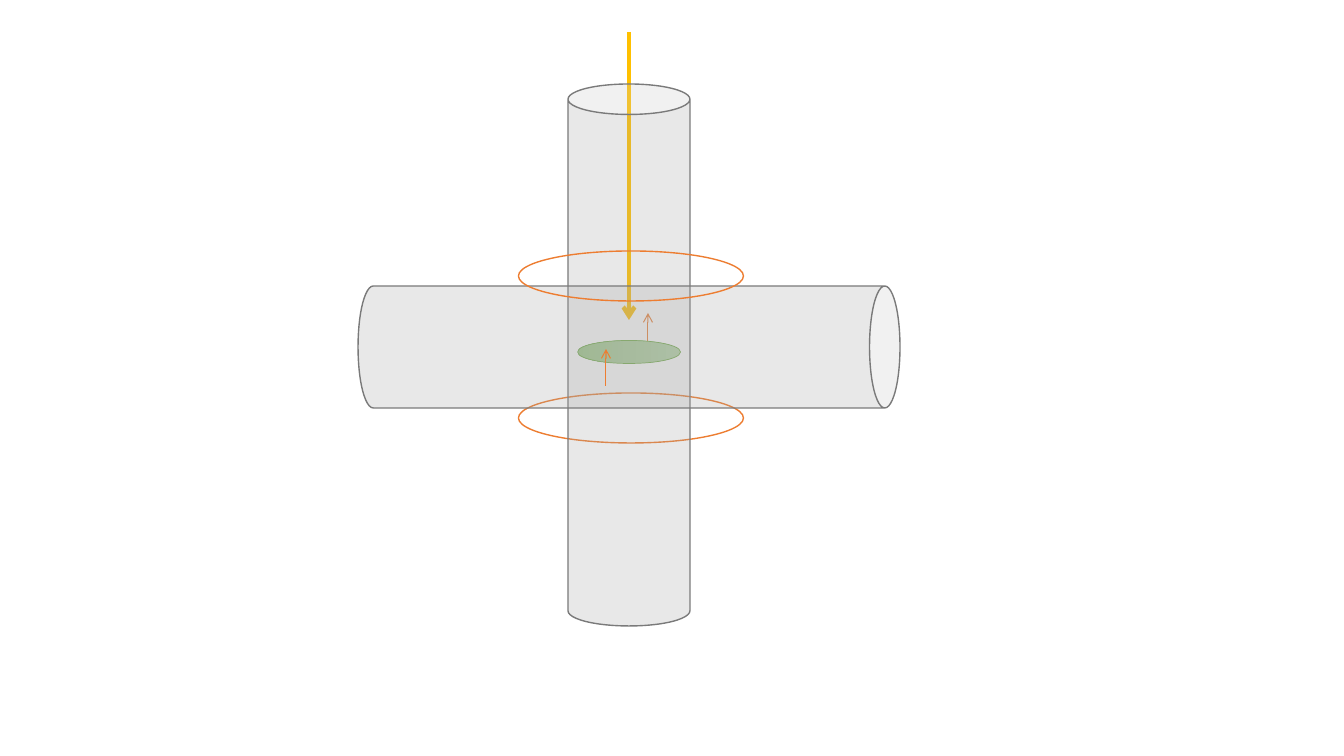
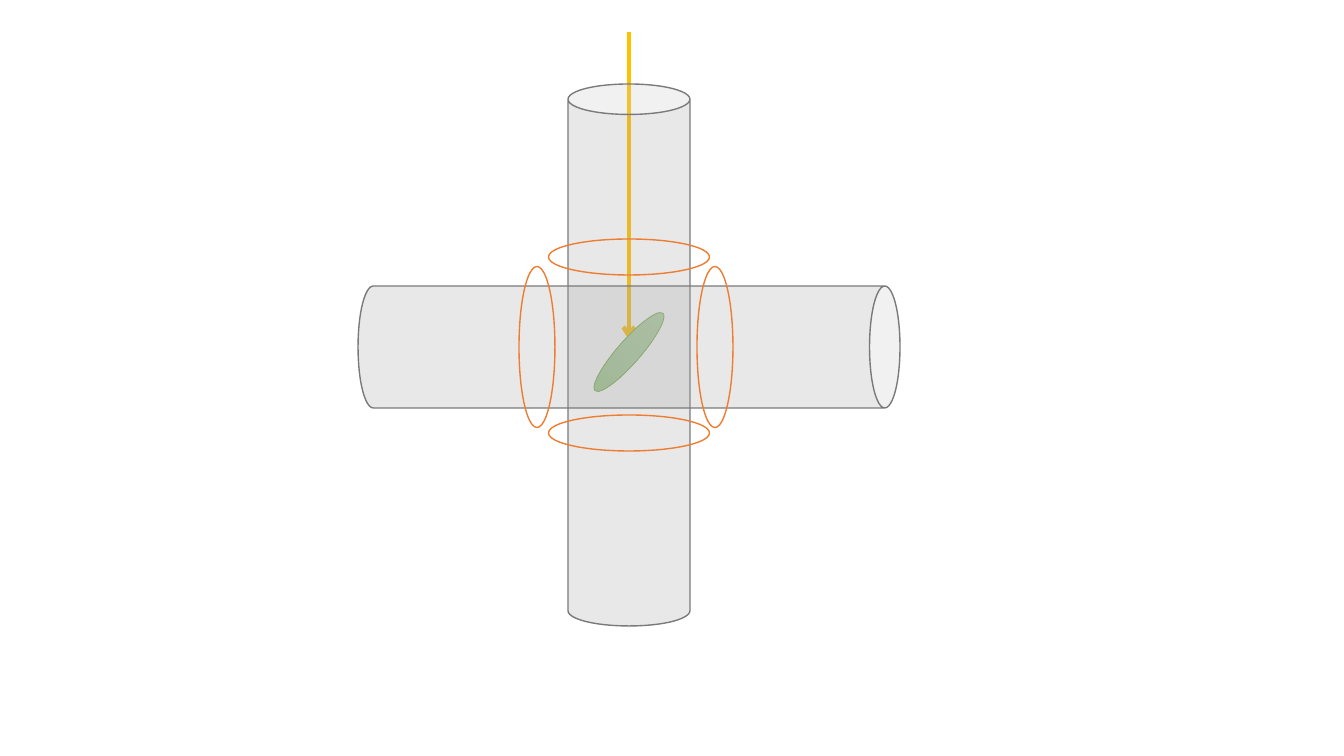
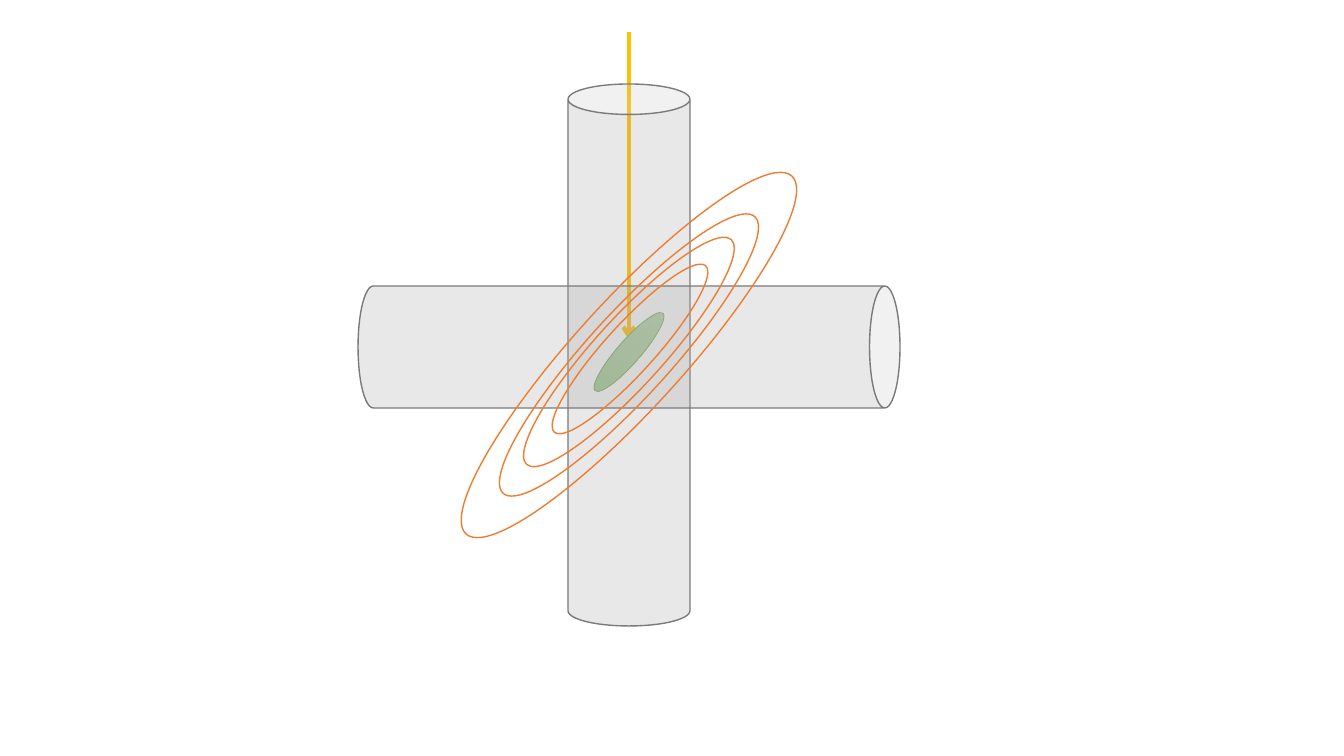
from copy import deepcopy
from dataclasses import dataclass

from lxml import etree
from pptx import Presentation
from pptx.dml.color import RGBColor
from pptx.enum import shapes
from pptx.oxml import ns
from pptx.util import Pt

PX = 914400 / 100.8  # EMU in one px
SLIDE_WIDTH, SLIDE_HEIGHT = 1344, 756

COLORS = {
    "tube": "A5A5A5",
    "tube_edge": "7A7A7A",
    "coil": "ED7D31",
    "beam": "FFC000",
    "sample_light": "B5D5A7",
    "sample_mid": "AACE9A",
    "sample_dark": "9CC987",
    "sample_edge": "70AD47",
}
SAMPLE_STOPS = ("sample_light", "sample_mid", "sample_dark")
TUBE_OPACITY = 25  # percent


@dataclass(frozen=True)
class Body:
    """A preset shape placed by its centre."""
    x: int
    y: int
    width: int
    height: int
    rotation: float = 0


@dataclass(frozen=True)
class Arrow:
    """An upright arrow; the head is at the end."""
    x: int
    start: int
    end: int
    color: str = "coil"
    weight: float = 0.75


@dataclass(frozen=True)
class Scene:
    """What differs between slides, split by depth around the tubes."""
    beam_end: int
    sample_tilt: float
    front_coils: tuple[Body, ...]
    back_coils: tuple[Body, ...] = ()
    back_arrows: tuple[Arrow, ...] = ()
    front_arrows: tuple[Arrow, ...] = ()


# Apparatus shared by all slides
AXIS = 629
BEAM_START = 32
TUBES = (Body(AXIS, 355, 122, 542), Body(AXIS, 347, 122, 542, 90))
SAMPLE_CENTER, SAMPLE_SIZE = (AXIS, 352), (23, 103)
TILT, COIL_TILT = 41.2, 312.3

# Coil pairs and nested coils
PAIR_SIZE = (225, 50)
CROSS_SIZE = (161, 36)
NESTED_COILS = (
    Body(630, 349, 225, 49, COIL_TILT),
    Body(629, 352, 304, 68, COIL_TILT),
    Body(629, 355, 374, 83, COIL_TILT),
    Body(629, 355, 484, 108, COIL_TILT),
)

SCENES = (
    Scene(
        beam_end=320,
        sample_tilt=90,
        back_arrows=(Arrow(648, 351, 313),),
        back_coils=(Body(631, 418, *PAIR_SIZE),),
        front_coils=(Body(631, 276, *PAIR_SIZE),),
        front_arrows=(Arrow(606, 386, 349),),
    ),
    Scene(
        beam_end=340,
        sample_tilt=TILT,
        front_coils=(
            *(Body(AXIS, y, *CROSS_SIZE) for y in (257, 433)),
            *(Body(x, 347, *CROSS_SIZE, 270) for x in (715, 537)),
        ),
    ),
    Scene(beam_end=340, sample_tilt=TILT, front_coils=NESTED_COILS),
)


def px(length: float) -> int:
    return round(length * PX)


def rgb(name: str) -> RGBColor:
    return RGBColor.from_string(COLORS[name])


def add_body(slide, preset, body: Body, edge: str, weight: float = 1):
    shape = slide.shapes.add_shape(
        preset,
        px(body.x - body.width / 2), px(body.y - body.height / 2),
        px(body.width), px(body.height),
    )
    shape.rotation = body.rotation
    shape.shadow.inherit = False
    shape.line.color.rgb = rgb(edge)
    shape.line.width = Pt(weight)
    return shape


def add_coil(slide, coil: Body) -> None:
    add_body(slide, shapes.MSO_SHAPE.OVAL, coil, "coil").fill.background()


def add_tube(slide, tube: Body) -> None:
    shape = add_body(slide, shapes.MSO_SHAPE.CAN, tube, "tube_edge")
    shape.fill.solid()
    shape.fill.fore_color.rgb = rgb("tube")
    color = shape.element.spPr.find(ns.qn("a:solidFill"))[0]
    etree.SubElement(color, ns.qn("a:alpha"), val=str(TUBE_OPACITY * 1000))


def add_sample(slide, tilt: float) -> None:
    body = Body(*SAMPLE_CENTER, *SAMPLE_SIZE, tilt)
    shape = add_body(slide, shapes.MSO_SHAPE.OVAL, body, "sample_edge", 0.5)
    shape.fill.gradient()
    shape.fill.gradient_angle = 270
    # The preset gradient has two stops; a third goes in the middle
    stop_list = shape.element.spPr.find(ns.qn("a:gradFill")).find(ns.qn("a:gsLst"))
    stop_list.insert(1, deepcopy(stop_list[0]))
    for index, (stop, name) in enumerate(zip(shape.fill.gradient_stops, SAMPLE_STOPS)):
        stop.position = index / 2
        stop.color.rgb = rgb(name)


def add_arrow(slide, arrow: Arrow) -> None:
    connector = slide.shapes.add_connector(
        shapes.MSO_CONNECTOR.STRAIGHT,
        px(arrow.x), px(arrow.start), px(arrow.x), px(arrow.end),
    )
    connector.line.color.rgb = rgb(arrow.color)
    connector.line.width = Pt(arrow.weight)
    properties = connector.element.spPr
    etree.SubElement(properties.find(ns.qn("a:ln")), ns.qn("a:tailEnd"), type="arrow")
    etree.SubElement(properties, ns.qn("a:effectLst"))


def draw_scene(slide, scene: Scene) -> None:
    # Behind the tubes
    for arrow in scene.back_arrows:
        add_arrow(slide, arrow)
    for coil in scene.back_coils:
        add_coil(slide, coil)
    add_arrow(slide, Arrow(AXIS, BEAM_START, scene.beam_end, "beam", 3))
    add_sample(slide, scene.sample_tilt)
    # Tubes
    for tube in TUBES:
        add_tube(slide, tube)
    # In front of the tubes
    for coil in scene.front_coils:
        add_coil(slide, coil)
    for arrow in scene.front_arrows:
        add_arrow(slide, arrow)


def main() -> None:
    presentation = Presentation()
    presentation.slide_width = px(SLIDE_WIDTH)
    presentation.slide_height = px(SLIDE_HEIGHT)
    blank_layout = presentation.slide_layouts[6]
    for scene in SCENES:
        draw_scene(presentation.slides.add_slide(blank_layout), scene)
    presentation.save("out.pptx")


if __name__ == "__main__":
    main()
